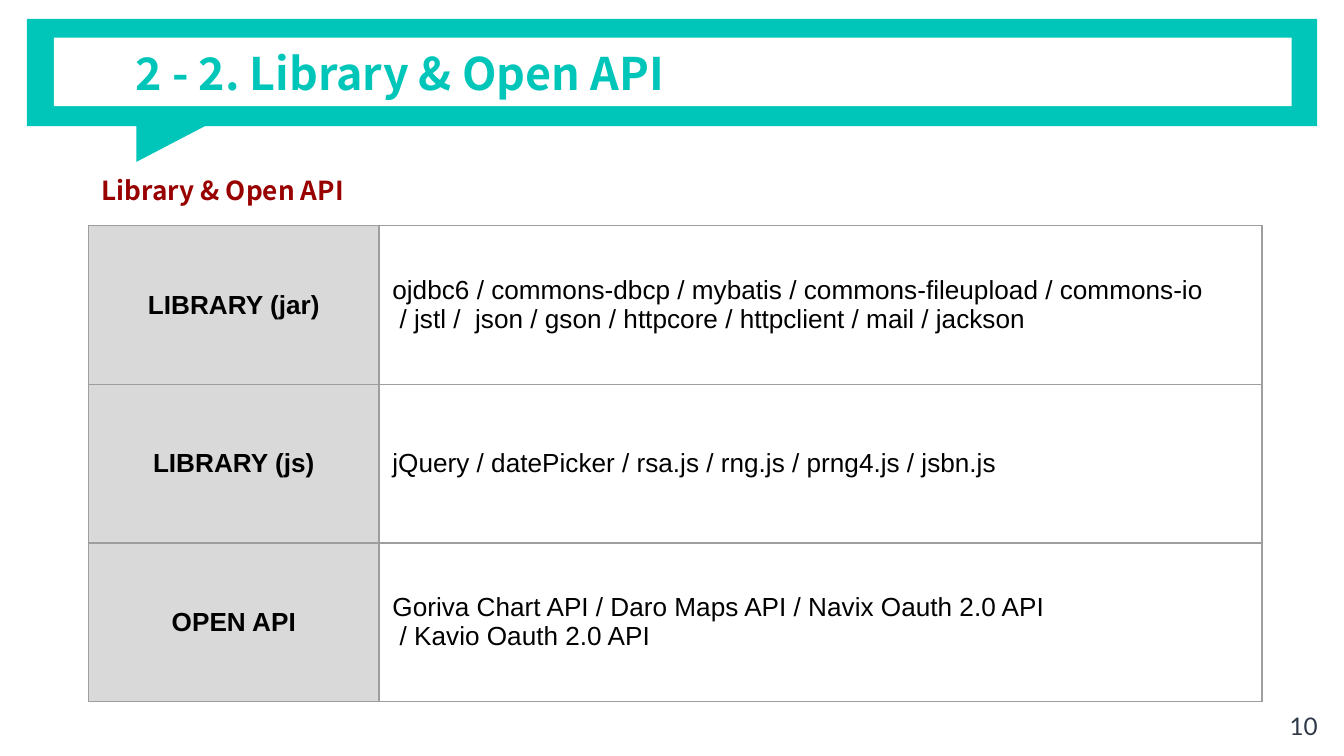
"""Build the library and open API slide on a grid of tenth-inch cells."""
from lxml.etree import SubElement
from pptx import Presentation
from pptx.dml.color import RGBColor
from pptx.enum.shapes import MSO_SHAPE
from pptx.enum.text import MSO_ANCHOR, PP_ALIGN
from pptx.oxml.ns import qn
from pptx.util import Inches, Pt

TEAL = RGBColor(0x00, 0xC5, 0xB9)
WHITE = RGBColor(0xFF, 0xFF, 0xFF)
BLACK = RGBColor(0x00, 0x00, 0x00)
DARK_RED = RGBColor(0x98, 0x00, 0x00)
NAVY = RGBColor(0x2F, 0x38, 0x48)
LABEL_GRAY = RGBColor(0xD9, 0xD9, 0xD9)
BORDER_GRAY = RGBColor(0x9E, 0x9E, 0x9E)

COLUMNS, ROWS = 100, 56.25
HEADING_FONT, TABLE_FONT, NUMBER_FONT = "Noto Sans CJK KR", "Arial", "Lato"
LABEL_WIDTH, CONTENT_WIDTH, ROW_HEIGHT = 21.6, 65.7, 11.8

LIBRARIES = [
    ("LIBRARY (jar)",
     "ojdbc6 / commons-dbcp / mybatis / commons-fileupload / commons-io\n"
     " / jstl /  json / gson / httpcore / httpclient / mail / jackson"),
    ("LIBRARY (js)",
     "jQuery / datePicker / rsa.js / rng.js / prng4.js / jsbn.js"),
    ("OPEN API",
     "Goriva Chart API / Daro Maps API / Navix Oauth 2.0 API\n"
     " / Kavio Oauth 2.0 API"),
]


def cells(count):
    return Inches(count / 10)


def place(left, top, width, height):
    return [cells(length) for length in (left, top, width, height)]


def write(frame, text, font_name, size, color, bold=False, align=PP_ALIGN.LEFT):
    frame.text = text
    for paragraph in frame.paragraphs:
        paragraph.alignment = align
        for run in paragraph.runs:
            run.font.name = font_name
            run.font.size = Pt(size)
            run.font.bold = bold
            run.font.color.rgb = color


def add_block(slide, preset, area, color, rotation=0):
    block = slide.shapes.add_shape(preset, *place(*area))
    block.shadow.inherit = False
    block.fill.solid()
    block.fill.fore_color.rgb = color
    block.line.fill.background()
    block.rotation = rotation


def add_label(slide, area, text, *style, anchor=MSO_ANCHOR.TOP, **options):
    frame = slide.shapes.add_textbox(*place(*area)).text_frame
    frame.word_wrap = True
    frame.vertical_anchor = anchor
    frame.margin_left = frame.margin_right = cells(1)
    frame.margin_top = frame.margin_bottom = cells(1)
    write(frame, text, *style, **options)


def add_banner(slide):
    add_block(slide, MSO_SHAPE.RECTANGLE, (2, 1.4, 96, 8), TEAL)
    add_block(slide, MSO_SHAPE.RIGHT_TRIANGLE, (11.8, 6.8, 3.6, 6.9), TEAL, 90)
    add_block(slide, MSO_SHAPE.RECTANGLE, (4, 2.8, 92.1, 5.1), WHITE)
    add_label(slide, (9.1, 1.4, 87, 8), "2 - 2. Library & Open API",
              HEADING_FONT, 24, TEAL, bold=True, anchor=MSO_ANCHOR.MIDDLE)


def add_borders(cell):
    properties = cell._tc.get_or_add_tcPr()
    for position, side in enumerate(("a:lnL", "a:lnR", "a:lnT", "a:lnB")):
        border = SubElement(properties, qn(side), w=str(Pt(0.75)))
        properties.insert(position, border)
        fill = SubElement(border, qn("a:solidFill"))
        SubElement(fill, qn("a:srgbClr"), val=str(BORDER_GRAY))


def fill_cell(cell, text, color, **options):
    cell.fill.solid()
    cell.fill.fore_color.rgb = color
    cell.vertical_anchor = MSO_ANCHOR.MIDDLE
    cell.margin_left = cell.margin_right = cells(1)
    cell.margin_top = cell.margin_bottom = cells(1)
    write(cell.text_frame, text, TABLE_FONT, 14, BLACK, **options)
    add_borders(cell)


def add_library_table(slide):
    area = place(6.6, 16.8, LABEL_WIDTH + CONTENT_WIDTH, ROW_HEIGHT * len(LIBRARIES))
    table = slide.shapes.add_table(len(LIBRARIES), 2, *area).table
    table.first_row = table.horz_banding = False
    table.columns[0].width = cells(LABEL_WIDTH)
    table.columns[1].width = cells(CONTENT_WIDTH)
    for index, (category, names) in enumerate(LIBRARIES):
        table.rows[index].height = cells(ROW_HEIGHT)
        fill_cell(table.cell(index, 0), category, LABEL_GRAY,
                  bold=True, align=PP_ALIGN.CENTER)
        fill_cell(table.cell(index, 1), names, WHITE)


def main():
    deck = Presentation()
    deck.slide_width, deck.slide_height = cells(COLUMNS), cells(ROWS)
    slide = deck.slides.add_slide(deck.slide_layouts[6])
    add_banner(slide)
    add_label(slide, (6.6, 12, 41.3, 4.7), "Library & Open API",
              HEADING_FONT, 14, DARK_RED, bold=True)
    add_library_table(slide)
    add_label(slide, (94, 51.9, 6, 4.3), "10",
              NUMBER_FONT, 13, NAVY, align=PP_ALIGN.CENTER)
    deck.save("out.pptx")


if __name__ == "__main__":
    main()
